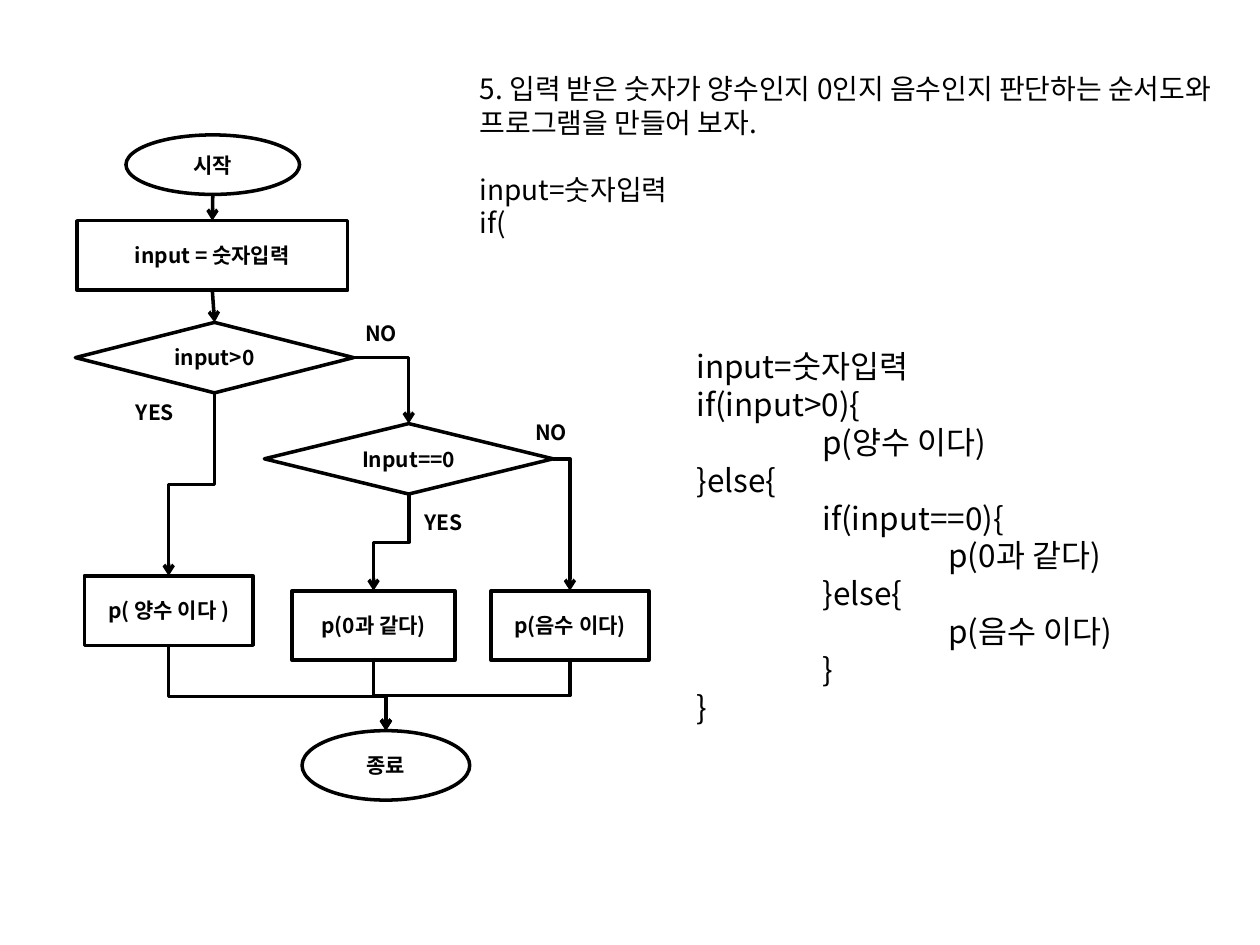
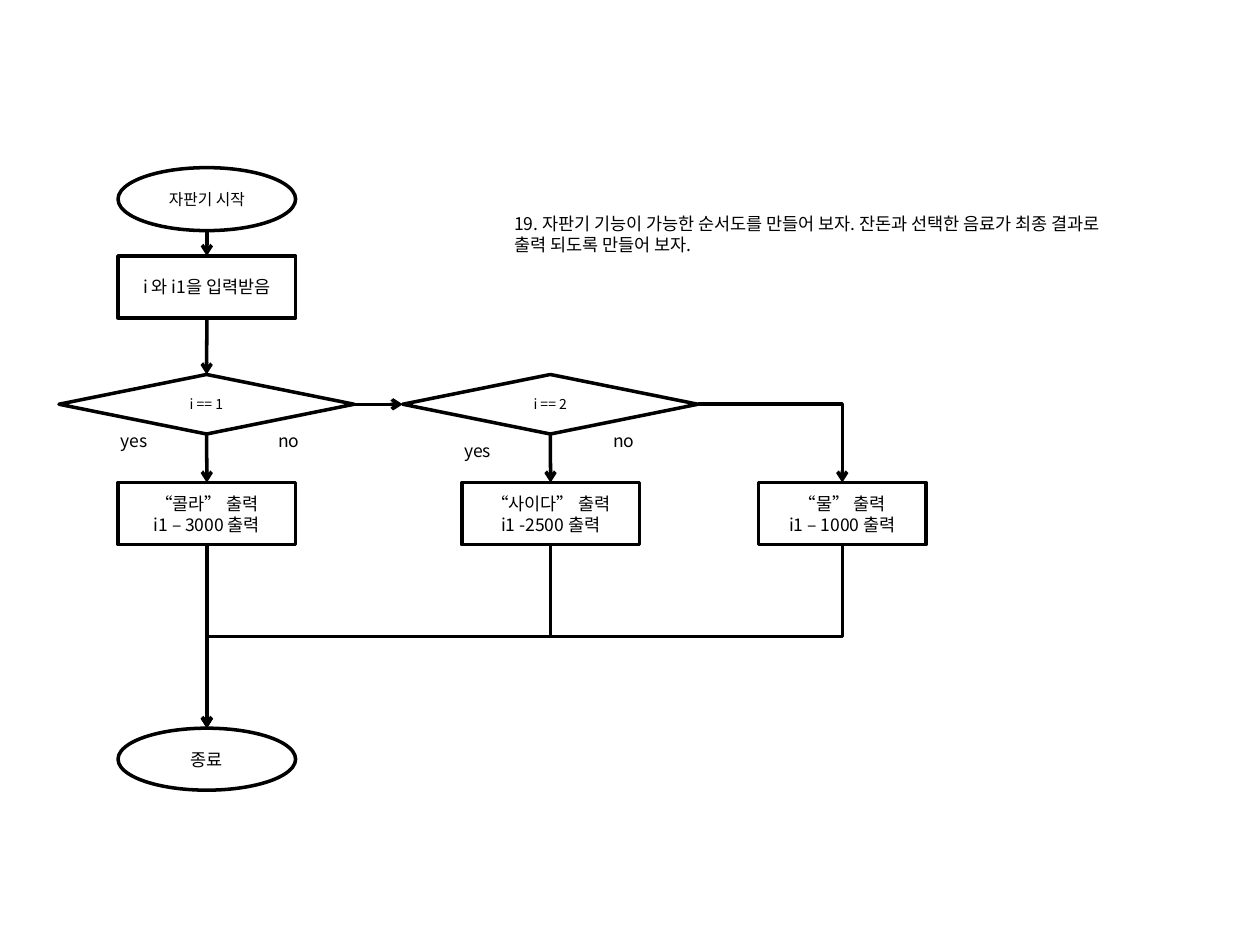
"""Builds two flowchart exercise slides."""
import lxml.etree
import pptx
import pptx.dml.color
import pptx.enum.shapes
import pptx.enum.text
import pptx.oxml.ns
import pptx.util

Cm = pptx.util.Cm
Pt = pptx.util.Pt
MSO_SHAPE = pptx.enum.shapes.MSO_SHAPE
CONNECTOR = pptx.enum.shapes.MSO_CONNECTOR
ALIGN = pptx.enum.text.PP_ALIGN
ANCHOR = pptx.enum.text.MSO_ANCHOR

COLORS = {"ink": "000000"}
FONT = "Noto Sans CJK KR"
LINE_WIDTH = 2
TITLE_ONLY = 5
TAB = 2.54
KINDS = {
    "terminal": MSO_SHAPE.OVAL,
    "process": MSO_SHAPE.FLOWCHART_PROCESS,
    "decision": MSO_SHAPE.FLOWCHART_DECISION,
}


def ink():
    """Return the one drawing colour."""
    return pptx.dml.color.RGBColor.from_string(COLORS["ink"])


def add_xml(parent, tag, **attributes):
    """Append a DrawingML element to parent."""
    return lxml.etree.SubElement(parent, pptx.oxml.ns.qn(tag), attributes)


def write(box, lines, size, bold=False, align=ALIGN.LEFT, anchor=ANCHOR.TOP):
    """Write the lines into the box as paragraphs of one style."""
    frame = box.text_frame
    frame.word_wrap = True
    frame.auto_size = pptx.enum.text.MSO_AUTO_SIZE.NONE
    frame.vertical_anchor = anchor
    frame.text = "\n".join(lines)
    for paragraph in frame.paragraphs:
        paragraph.alignment = align
        font = paragraph.font
        font.name, font.size, font.bold = FONT, Pt(size), bold
        font.color.rgb = ink()
        add_xml(font._element, "a:ea", typeface=FONT)
    return frame


def add_question(page, box, lines, size):
    """Place the exercise text in the title placeholder."""
    title = page.shapes.title
    title.left, title.top, title.width, title.height = map(Cm, box)
    return write(title, lines, size)


def add_code(page, box, lines, size):
    """Place a listing of (depth, text) lines, indented by depth."""
    listing = page.shapes.add_textbox(*map(Cm, box))
    frame = write(listing, [text for depth, text in lines], size)
    for paragraph, (depth, text) in zip(frame.paragraphs, lines):
        properties = paragraph._p.get_or_add_pPr()
        properties.set("marL", str(Cm(depth * TAB)))
        properties.set("indent", "0")


def add_node(page, kind, box, lines, size, bold):
    """Draw one outlined flowchart node."""
    node = page.shapes.add_shape(KINDS[kind], *map(Cm, box))
    node.shadow.inherit = False
    node.fill.background()
    node.line.color.rgb = ink()
    node.line.width = Pt(LINE_WIDTH)
    frame = write(node, lines, size, bold, ALIGN.CENTER, ANCHOR.MIDDLE)
    frame.margin_left = frame.margin_right = 0
    return node


def turn_step(connector, start, end, bend):
    """Make an elbow leave downwards and bend at a share of its drop."""
    drop, span = end[1] - start[1], abs(end[0] - start[0])
    connector.left = (start[0] + end[0] - drop) // 2
    connector.top = (start[1] + end[1] - span) // 2
    connector.width, connector.height = drop, span
    properties = connector._element.spPr
    frame = properties.find(pptx.oxml.ns.qn("a:xfrm"))
    for name in ("flipH", "flipV"):
        frame.attrib.pop(name, None)
    if end[0] < start[0]:
        frame.set("rot", "5400000")
    else:
        frame.set("rot", "16200000")
        frame.set("flipH", "1")
    guides = properties.prstGeom.get_or_add_avLst()
    add_xml(guides, "a:gd", name="adj1", fmla=f"val {round(bend * 100000)}")


def add_arrow(page, source, target, route, bend=0.5):
    """Join two nodes: down, across, corner (right, down) or step."""
    if route in ("across", "corner"):
        start = source.left + source.width, source.top + source.height // 2
    else:
        start = source.left + source.width // 2, source.top + source.height
    if route == "across":
        end = target.left, target.top + target.height // 2
    else:
        end = target.left + target.width // 2, target.top
    bent = route in ("corner", "step")
    style = CONNECTOR.ELBOW if bent else CONNECTOR.STRAIGHT
    connector = page.shapes.add_connector(style, *start, *end)
    if route == "corner":
        connector._element.spPr.prstGeom.set("prst", "bentConnector2")
    elif route == "step":
        turn_step(connector, start, end, bend)
    connector.line.color.rgb = ink()
    connector.line.width = Pt(LINE_WIDTH)
    add_xml(connector.line._get_or_add_ln(), "a:tailEnd", type="arrow")
    add_xml(connector._element.spPr, "a:effectLst")


def add_flowchart(page, origin, nodes, arrows, labels, size, bold=False):
    """Draw nodes, arrows and branch labels relative to the origin."""
    left, top = origin
    drawn = {}
    for name, (kind, box, lines, *own_size) in nodes.items():
        x, y, width, height = box
        place = (left + x, top + y, width, height)
        node_size = own_size[0] if own_size else size
        drawn[name] = add_node(page, kind, place, lines, node_size, bold)
    for source, target, *route in arrows:
        add_arrow(page, drawn[source], drawn[target], *route)
    for text, x, y in labels:
        label = page.shapes.add_textbox(
            Cm(left + x), Cm(top + y), Cm(2), Cm(0.75))
        write(label, [text], size, bold)


def add_sign_page(deck):
    """Build the slide on positive, zero and negative numbers."""
    page = deck.slides.add_slide(deck.slide_layouts[TITLE_ONLY])
    question = add_question(page, (9.42, 1.32, 15.3, 3.68), [
        "5. 입력 받은 숫자가 양수인지 0인지 음수인지 판단하는 "
        "순서도와 프로그램을 만들어 보자.",
        "input=숫자입력",
        "if(",
    ], 16)
    question.paragraphs[1].space_before = Pt(19)
    nodes = {
        "start": ("terminal", (1.02, 0, 3.5, 1.2), ["시작"]),
        "input": ("process", (0.03, 1.73, 5.46, 1.4), ["input = 숫자입력"]),
        "above": ("decision", (0, 3.78, 5.61, 1.42), ["input>0"]),
        "equal": ("decision", (3.81, 5.82, 5.82, 1.42), ["Input==0"]),
        "positive": ("process", (0.18, 8.89, 3.4, 1.4), ["p( 양수 이다 )"]),
        "zero": ("process", (4.37, 9.19, 3.28, 1.4), ["p(0과 같다)"]),
        "negative": ("process", (8.38, 9.19, 3.18, 1.4), ["p(음수 이다)"]),
        "end": ("terminal", (4.57, 12.01, 3.38, 1.4), ["종료"]),
    }
    arrows = [
        ("start", "input", "down"),
        ("input", "above", "down"),
        ("above", "equal", "corner"),
        ("above", "positive", "step"),
        ("equal", "zero", "step"),
        ("equal", "negative", "corner"),
        ("positive", "end", "step", 0.6),
        ("zero", "end", "step"),
        ("negative", "end", "step"),
    ]
    labels = [("NO", 5.59, 3.61), ("YES", 0.97, 5.21),
              ("NO", 9.02, 5.61), ("YES", 6.78, 7.42)]
    add_flowchart(page, (1.52, 2.72), nodes, arrows, labels, 12, True)
    add_code(page, (13.79, 6.88, 11.61, 8.74), [
        (0, "input=숫자입력"),
        (0, "if(input>0){"),
        (1, "p(양수 이다)"),
        (0, "}else{"),
        (1, "if(input==0){"),
        (2, "p(0과 같다)"),
        (1, "}else{"),
        (2, "p(음수 이다)"),
        (1, "}"),
        (0, "}"),
    ], 18)


def add_vending_page(deck):
    """Build the slide on the vending machine."""
    page = deck.slides.add_slide(deck.slide_layouts[TITLE_ONLY])
    add_question(page, (10.11, 4.17, 12.7, 1.12), [
        "19. 자판기 기능이 가능한 순서도를 만들어 보자. 잔돈과 선택한 "
        "음료가 최종 결과로 출력 되도록 만들어 보자.",
    ], 10)
    nodes = {
        "start": ("terminal", (1.19, 0, 3.58, 1.27), ["자판기 시작"], 9),
        "input": ("process", (1.19, 1.78, 3.58, 1.25), ["i 와 i1을 입력받음"]),
        "is cola": ("decision", (0, 4.17, 5.95, 1.2), ["i == 1"], 8),
        "is cider": ("decision", (6.93, 4.17, 5.95, 1.2), ["i == 2"], 8),
        "cola": ("process", (1.19, 6.35, 3.58, 1.25),
                 ["“콜라” 출력", "i1 – 3000 출력"]),
        "cider": ("process", (8.12, 6.35, 3.58, 1.25),
                  ["“사이다” 출력", "i1 -2500 출력"]),
        "water": ("process", (14.1, 6.35, 3.38, 1.25),
                  ["“물” 출력", "i1 – 1000 출력"]),
        "end": ("terminal", (1.19, 11.3, 3.58, 1.25), ["종료"]),
    }
    arrows = [
        ("start", "input", "down"),
        ("input", "is cola", "down"),
        ("is cola", "cola", "down"),
        ("is cola", "is cider", "across"),
        ("is cider", "cider", "down"),
        ("is cider", "water", "corner"),
        ("cola", "end", "down"),
        ("cider", "end", "step"),
        ("water", "end", "step"),
    ]
    labels = [("yes", 0.99, 5.16), ("no", 4.17, 5.16),
              ("yes", 7.92, 5.36), ("no", 10.92, 5.16)]
    add_flowchart(page, (1.19, 3.38), nodes, arrows, labels, 10)


def main():
    """Build and save the deck."""
    deck = pptx.Presentation()
    deck.slide_width, deck.slide_height = Cm(25.4), Cm(19.05)
    add_sign_page(deck)
    add_vending_page(deck)
    deck.save("out.pptx")


main()
